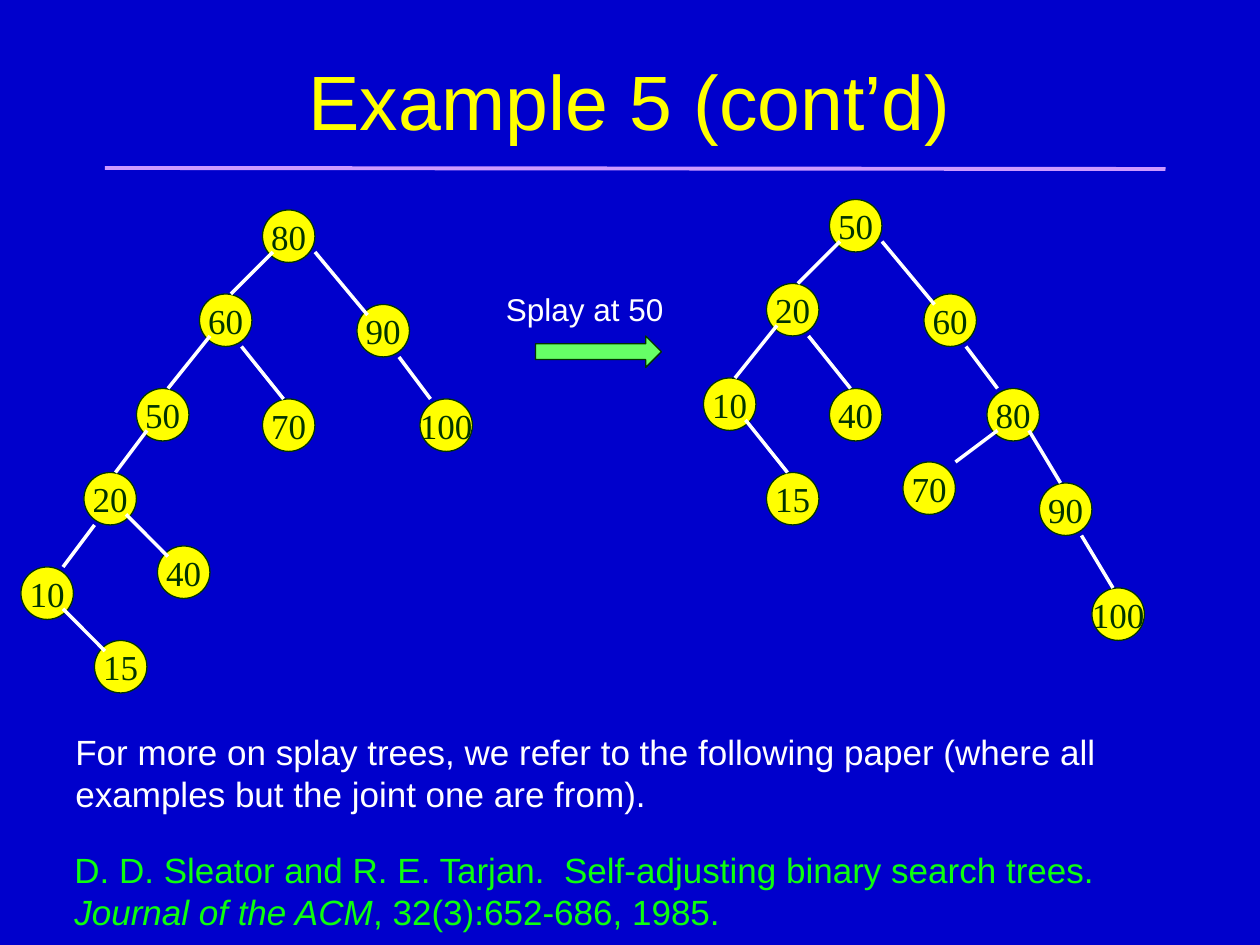
import pptx
import pptx.dml.color
import pptx.enum.shapes
import pptx.enum.text
import pptx.oxml.ns
import pptx.util
from dataclasses import dataclass
from lxml import etree

EMU_PER_PX = 7620  # 120 px to the inch
NODE_SIZE = 50


@dataclass(frozen=True)
class Theme:
    background: str = "0000CC"
    title: str = "FFFF00"
    rule: str = "CC99FF"
    text: str = "FFFFFF"
    citation: str = "0DFF0D"
    node: str = "FFFF00"
    outline: str = "003300"
    arrow: str = "66FF66"
    sans: str = "Arial"
    serif: str = "Times New Roman"
    title_size: int = 44
    body_size: int = 20
    label_size: int = 18
    rule_width: float = 2.25
    edge_width: float = 2
    outline_width: float = 0.75


THEME = Theme()

# Each node is key: (left, top). Each edge is parent, child, then the offset
# of its two ends from the corners of those nodes.
TREE_BEFORE = {
    "nodes": {80: (230, 0), 60: (170, 80), 90: (320, 90), 50: (110, 170),
              70: (230, 180), 100: (380, 180), 20: (60, 250), 40: (130, 320),
              10: (0, 340), 15: (70, 410)},
    "edges": [(80, 60, (10, 40), (30, 0)), (80, 90, (50, 40), (10, 10)),
              (60, 50, (10, 40), (30, 0)), (60, 70, (40, 50), (20, 0)),
              (90, 100, (40, 50), (10, 0)), (50, 20, (10, 40), (30, 0)),
              (20, 10, (10, 50), (40, 0)), (20, 40, (40, 40), (10, 10)),
              (10, 15, (40, 40), (10, 10))],
}
TREE_AFTER = {
    "nodes": {50: (120, 0), 20: (60, 80), 60: (210, 90), 10: (0, 170),
              40: (120, 180), 80: (270, 180), 15: (60, 260), 70: (190, 250),
              90: (320, 270), 100: (370, 370)},
    "edges": [(50, 20, (10, 40), (30, 0)), (50, 60, (50, 40), (10, 10)),
              (20, 10, (10, 40), (30, 0)), (20, 40, (40, 50), (20, 0)),
              (60, 80, (40, 50), (10, 0)), (10, 15, (40, 40), (20, 0)),
              (80, 70, (10, 40), (50, 0)), (80, 90, (40, 40), (20, 0)),
              (90, 100, (40, 50), (20, 0))],
}


def px(*lengths):
    return [pptx.util.Emu(length * EMU_PER_PX) for length in lengths]


def rgb(color):
    return pptx.dml.color.RGBColor.from_string(color)


def write_text(shape, paragraphs, *, size, color, font=THEME.sans, align="LEFT",
               anchor="TOP", wrap=True):
    """Each paragraph is a list of (text, italic) runs."""
    frame = shape.text_frame
    frame.word_wrap = wrap
    frame.vertical_anchor = getattr(pptx.enum.text.MSO_ANCHOR, anchor)
    for index, runs in enumerate(paragraphs):
        paragraph = frame.add_paragraph() if index else frame.paragraphs[0]
        paragraph.alignment = getattr(pptx.enum.text.PP_ALIGN, align)
        for text, italic in runs:
            run = paragraph.add_run()
            run.text = text
            run.font.name = font
            run.font.size = pptx.util.Pt(size)
            run.font.italic = italic
            run.font.color.rgb = rgb(color)


def add_text(shapes, box, paragraphs, **text_format):
    write_text(shapes.add_textbox(*px(*box)), paragraphs, **text_format)


def add_filled_shape(shapes, kind, box, fill):
    shape = shapes.add_shape(kind, *px(*box))
    shape.shadow.inherit = False
    shape.fill.solid()
    shape.fill.fore_color.rgb = rgb(fill)
    shape.line.color.rgb = rgb(THEME.outline)
    shape.line.width = pptx.util.Pt(THEME.outline_width)
    return shape


def add_line(shapes, start, end, color, width):
    line = shapes.add_connector(pptx.enum.shapes.MSO_CONNECTOR.STRAIGHT,
                                *px(*start, *end))
    line.line.color.rgb = rgb(color)
    line.line.width = pptx.util.Pt(width)
    properties = line._element.spPr
    etree.SubElement(properties, pptx.oxml.ns.qn("a:effectLst"))


def add_header(shapes, left, top, width, height):
    add_text(shapes, (left, top, width, height), [[("Example 5 (cont’d)", False)]],
             size=THEME.title_size, color=THEME.title, align="CENTER", anchor="MIDDLE")
    add_line(shapes, (left + 10, top + 140), (left + width, top + 141),
             THEME.rule, THEME.rule_width)


def add_tree(shapes, left, top, tree):
    corners = {key: (left + x, top + y) for key, (x, y) in tree["nodes"].items()}
    # Nodes
    for key, corner in corners.items():
        node = add_filled_shape(shapes, pptx.enum.shapes.MSO_SHAPE.OVAL,
                                (*corner, NODE_SIZE, NODE_SIZE), THEME.node)
        write_text(node, [[(str(key), False)]], size=THEME.body_size,
                   color=THEME.outline, font=THEME.serif, align="CENTER",
                   anchor="MIDDLE", wrap=False)
    # Edges
    for parent, child, parent_offset, child_offset in tree["edges"]:
        start = map(sum, zip(corners[parent], parent_offset))
        end = map(sum, zip(corners[child], child_offset))
        add_line(shapes, start, end, THEME.text, THEME.edge_width)


def add_splay_step(shapes, left, top, width):
    add_text(shapes, (left, top, width, 48), [[("Splay at 50", False)]],
             size=THEME.label_size, color=THEME.text)
    add_filled_shape(shapes, pptx.enum.shapes.MSO_SHAPE.RIGHT_ARROW,
                     (left + 40, top + 50, 120, 30), THEME.arrow)


def add_reference(shapes, left, top, width):
    add_text(shapes, (left, top, width, 92), [
        [("For more on splay trees, we refer to the following paper (where all", False)],
        [("examples but the joint one are from).", False)],
    ], size=THEME.body_size, color=THEME.text)
    add_text(shapes, (left - 1, top + 112, width, 92), [
        [("D. D. Sleator and R. E. Tarjan.  Self-adjusting binary search trees.", False)],
        [("Journal of the ACM", True), (", 32(3):652-686, 1985.", False)],
    ], size=THEME.body_size, color=THEME.citation)


def main():
    presentation = pptx.Presentation()
    presentation.slide_width, presentation.slide_height = px(1200, 900)
    slide = presentation.slides.add_slide(presentation.slide_layouts[6])
    slide.background.fill.solid()
    slide.background.fill.fore_color.rgb = rgb(THEME.background)

    add_header(slide.shapes, 90, 20, 1020, 150)
    add_tree(slide.shapes, 20, 200, TREE_BEFORE)
    add_splay_step(slide.shapes, 470, 270, 200)
    add_tree(slide.shapes.add_group_shape().shapes, 670, 190, TREE_AFTER)
    add_reference(slide.shapes, 60, 690, 1020)
    presentation.save("out.pptx")


if __name__ == "__main__":
    main()
